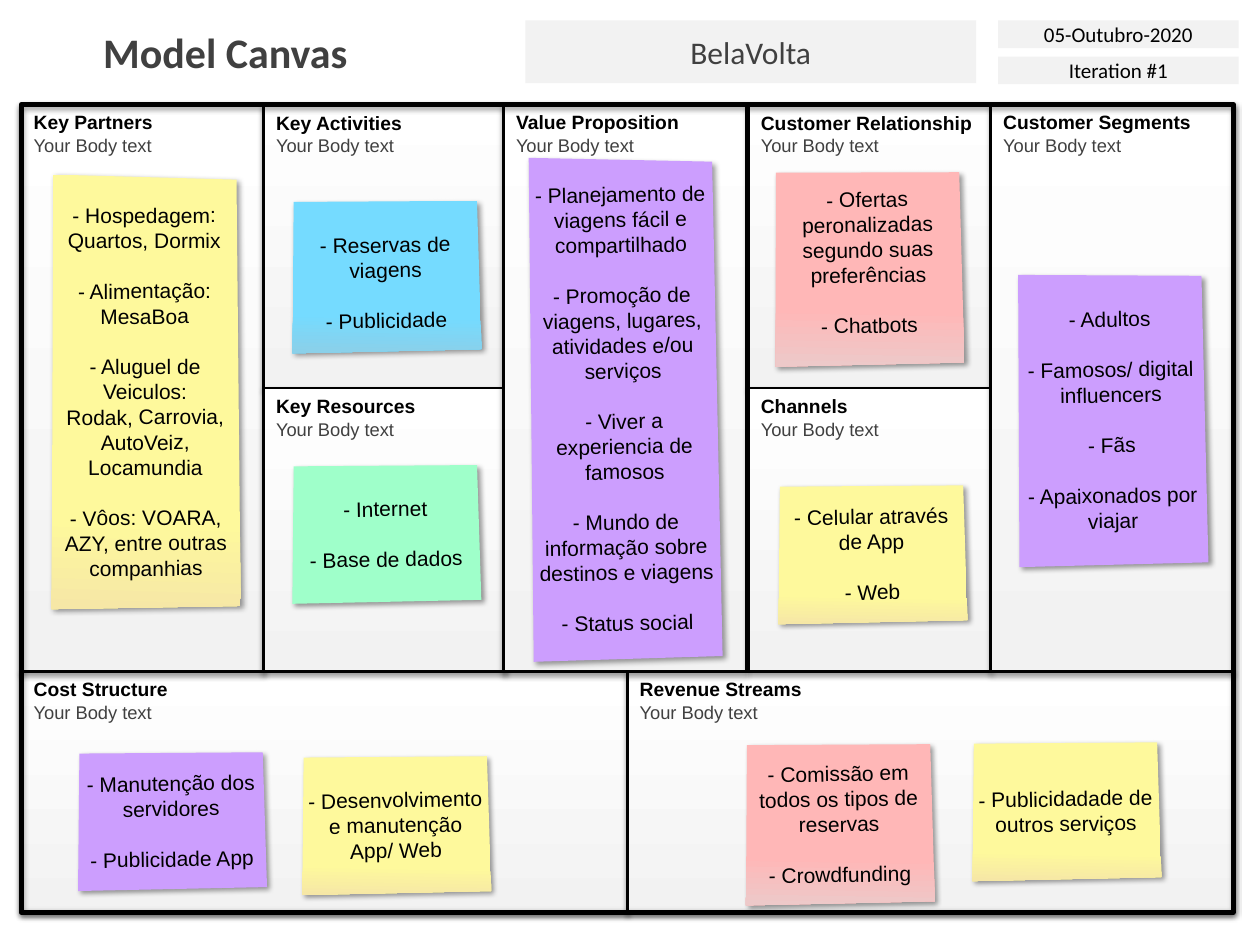
from dataclasses import dataclass

from lxml.etree import SubElement
from pptx import Presentation
from pptx.dml.color import RGBColor as Rgb
from pptx.enum.shapes import MSO_SHAPE as Geo
from pptx.enum.text import MSO_ANCHOR as Anchor, PP_ALIGN as Align
from pptx.oxml.ns import qn
from pptx.util import Cm, Pt


@dataclass(frozen=True)
class Theme:
    """Colours, fonts and type sizes."""
    ink: str = "000000"
    soft: str = "404040"
    pale: str = "F2F2F2"
    white: str = "FFFFFF"
    body: str = "Arial"
    head: str = "Calibri"
    title: int = 24
    name: int = 18
    note: int = 12
    label: int = 11
    hint: float = 10.5
    lead: float = 14.4
    tight: int = 13


LOOK = Theme()
# Fill stops of each paper: (position, colour) pairs, or one plain colour.
PAPER = {
    "blue": [(0.75, "75DBFF"), (1, "8BD0E9")],
    "yellow": [(0.79, "FEF99C"), (1, "F6E7A6")],
    "pink": [(0.7, "FFB7B7"), (1, "EDC9C9")],
    "green": "9FFFCA",
    "purple": "CC9EFE",
}


def write(frame, text, size=12, font=LOOK.body, color=LOOK.ink, bold=False,
          align=Align.LEFT, lead=None, gap=0):
    """Add each line of text as a paragraph, with a gap between them."""
    for i, line in enumerate(text.split("\n")):
        fresh = not frame.text
        para = frame.paragraphs[0] if fresh else frame.add_paragraph()
        para.text = line
        para.alignment = align
        para.space_before = Pt(gap if i else 0)
        if lead:
            para.line_spacing = Pt(lead)
        for run in para.runs:
            run.font.size, run.font.name = Pt(size), font
            run.font.bold = bold
            run.font.color.rgb = Rgb.from_string(color)


def pad(frame, side, top, anchor=Anchor.TOP, low=None):
    """Set wrapping, insets and anchor of a text frame."""
    frame.word_wrap = True
    frame.vertical_anchor = anchor
    frame.margin_left = frame.margin_right = Cm(side)
    frame.margin_top = Cm(top)
    frame.margin_bottom = Cm(top if low is None else low)


def paint(shape, fill=None, angle=0, line=0):
    """Fill a shape plainly or by stops, and set its outline."""
    shape.shadow.inherit = False
    if fill is None:
        shape.fill.background()
    elif isinstance(fill, str):
        shape.fill.solid()
        shape.fill.fore_color.rgb = Rgb.from_string(fill)
    else:
        shape.fill.gradient()
        shape.fill.gradient_angle = angle
        for stop, (place, color) in zip(shape.fill.gradient_stops, fill):
            stop.position = place
            stop.color.rgb = Rgb.from_string(color)
    if line:
        shape.line.color.rgb = Rgb.from_string(LOOK.ink)
        shape.line.width = Pt(line)
    else:
        shape.line.fill.background()


def shade(shape, blur, dist, turn, alpha):
    """Give a shape a soft outer shadow."""
    effect = shape.element.spPr.find(qn("a:effectLst"))
    outer = SubElement(effect, qn("a:outerShdw"), blurRad=str(Pt(blur)),
                       dist=str(Pt(dist)), dir=str(turn * 60000),
                       rotWithShape="0")
    color = SubElement(outer, qn("a:srgbClr"), val=LOOK.ink)
    SubElement(color, qn("a:alpha"), val=str(alpha * 1000))


class Board:
    """The slide and the elements that it can hold."""

    def __init__(self, slide, look):
        self.shapes, self.look = slide.shapes, look

    def box(self, geo, x, y, w, h, **style):
        """Add a preset shape."""
        shape = self.shapes.add_shape(geo, Cm(x), Cm(y), Cm(w), Cm(h))
        paint(shape, **style)
        return shape

    def title(self, text, x, y, w, h):
        """Add the slide title."""
        frame = self.shapes.add_textbox(Cm(x), Cm(y), Cm(w), Cm(h)).text_frame
        pad(frame, 0.25, 0.13)
        write(frame, text, size=self.look.title, font=self.look.head,
              color=self.look.soft, bold=True)

    def tag(self, text, x, y, w, h, size, color):
        """Add a grey header field."""
        shape = self.box(Geo.RECTANGLE, x, y, w, h, fill=self.look.pale)
        pad(shape.text_frame, 0.25, 0.13, Anchor.MIDDLE)
        write(shape.text_frame, text, size=size, font=self.look.head,
              color=color, align=Align.CENTER)

    def ring(self, x, y, w, h, **style):
        """Add a square-cornered, outlined block with a shadow."""
        shape = self.box(Geo.ROUNDED_RECTANGLE, x, y, w, h, **style)
        shape.adjustments[0] = 0
        shade(shape, 3.1, 1.6, 90, 38)
        return shape

    def panel(self, name, x, y, w, h):
        """Add one canvas section with its heading."""
        look = self.look
        shape = self.ring(x, y, w, h, angle=90, line=1.5,
                          fill=[(0, look.pale), (1, look.white)])
        frame = shape.text_frame
        pad(frame, 0.25, 0.13)
        write(frame, name, size=look.label, bold=True, lead=look.tight)
        write(frame, "Your Body text", size=look.hint, color=look.soft,
              lead=look.tight)

    def note(self, text, paper, x, y, h=2.77, turn=-1, top=0.13, low=0.13):
        """Add a tilted sticky note."""
        w = 3.81
        edge = [(0.02, 0), (0.99, 0.014), (1, 0.995), (0, 1)]
        pts = [(Cm(x + w * u), Cm(y + h * v)) for u, v in edge]
        pen = self.shapes.build_freeform(*pts[0])
        pen.add_line_segments(pts[1:], close=True)
        shape = pen.convert_to_shape()
        shape.rotation = turn
        paint(shape, fill=PAPER[paper], angle=268)
        shade(shape, 3, 2, 45, 40)
        pad(shape.text_frame, 0.13, top, Anchor.MIDDLE, low)
        write(shape.text_frame, text, size=self.look.note, align=Align.CENTER,
              lead=self.look.lead, gap=self.look.lead)


def main():
    """Build the canvas and save it."""
    deck = Presentation()
    deck.slide_width, deck.slide_height = Cm(25.4), Cm(19.05)
    board = Board(deck.slides.add_slide(deck.slide_layouts[6]), LOOK)

    left, top, wide, tall = 0.43, 2.11, 24.43, 16.28
    col, half, row, base = wide / 5, wide / 2, 5.715, 4.85
    for i, name in enumerate(("Cost Structure", "Revenue Streams")):
        board.panel(name, left + i * half, top + 2 * row, half, base)
    # Name, column, row, rows spanned.
    for name, i, j, span in (
            ("Key Partners", 0, 0, 2), ("Key Activities", 1, 0, 1),
            ("Key Resources", 1, 1, 1), ("Value Proposition", 1.99, 0, 2),
            ("Customer Relationship", 3, 0, 1), ("Channels", 3, 1, 1),
            ("Customer Segments", 4, 0, 2)):
        board.panel(name, left + i * col, top + j * row, col, span * row)
    board.ring(left, top, wide, tall, line=3)

    board.title("Model Canvas", 1.83, 0.41, 7.11, 1.27)
    board.tag("BelaVolta", 10.59, 0.41, 9.09, 1.27, LOOK.name, LOOK.soft)
    for i, text in enumerate(("05-Outubro-2020", "Iteration #1")):
        board.tag(text, 20.12, 0.41 + i * 0.73, 4.85, 0.56, LOOK.note, LOOK.ink)

    board.note("- Reservas de viagens\n- Publicidade", "blue",
               5.87, 4.04, 3.05, top=0.38)
    board.note("- Hospedagem: Quartos, Dormix\n- Alimentação: MesaBoa\n"
               "- Aluguel de Veiculos:\vRodak, Carrovia, AutoVeiz, Locamundia\n"
               "- Vôos: VOARA, AZY, entre outras companhias", "yellow",
               1.02, 3.51, 8.76, turn=-0.3)
    board.note("- Internet\n- Base de dados", "green", 5.87, 9.37)
    board.note("- Planejamento de viagens fácil e compartilhado\n"
               "- Promoção de viagens, lugares, atividades e/ou serviços\n"
               "- Viver a experiencia de famosos\n"
               "- Mundo de informação sobre destinos e viagens\n"
               "- Status social", "purple", 10.67, 3.15, 10.16)
    board.note("- Adultos\n- Famosos/ digital influencers\n- Fãs\n"
               "- Apaixonados por viajar", "purple", 20.5, 5.51, 5.89)
    board.note("- Ofertas peronalizadas segundo suas preferências\n"
               "- Chatbots", "pink", 15.6, 3.45, 3.91, low=0.38)
    board.note("- Comissão em todos os tipos de reservas\n- Crowdfunding",
               "pink", 15.01, 14.99, 3.23)
    board.note("- Celular através de App\n- Web", "yellow", 15.67, 9.78)
    board.note("- Manutenção dos servidores\n- Publicidade App", "purple",
               1.55, 15.16)
    board.note("- Desenvolvimento e manutenção App/ Web", "yellow", 6.07, 15.24)
    board.note("- Publicidadade de outros serviços", "yellow", 19.58, 14.96)
    deck.save("out.pptx")


main()
